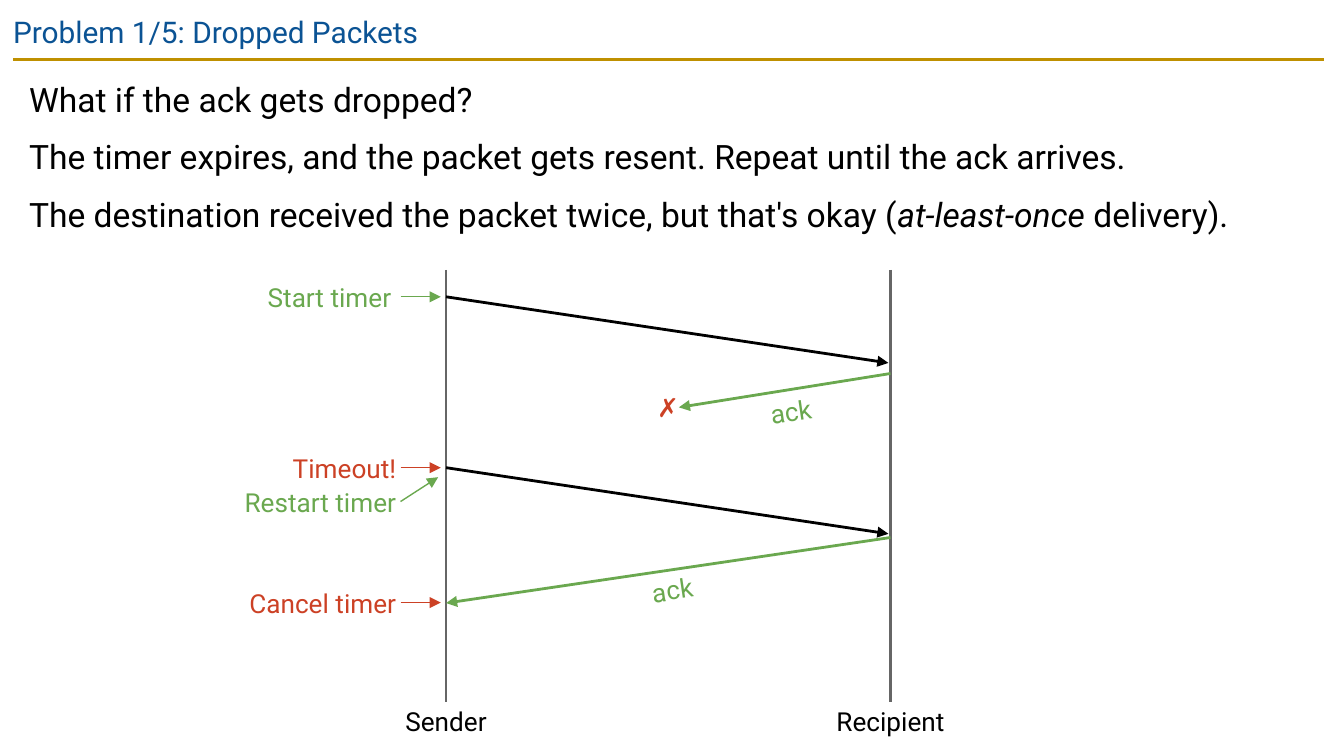
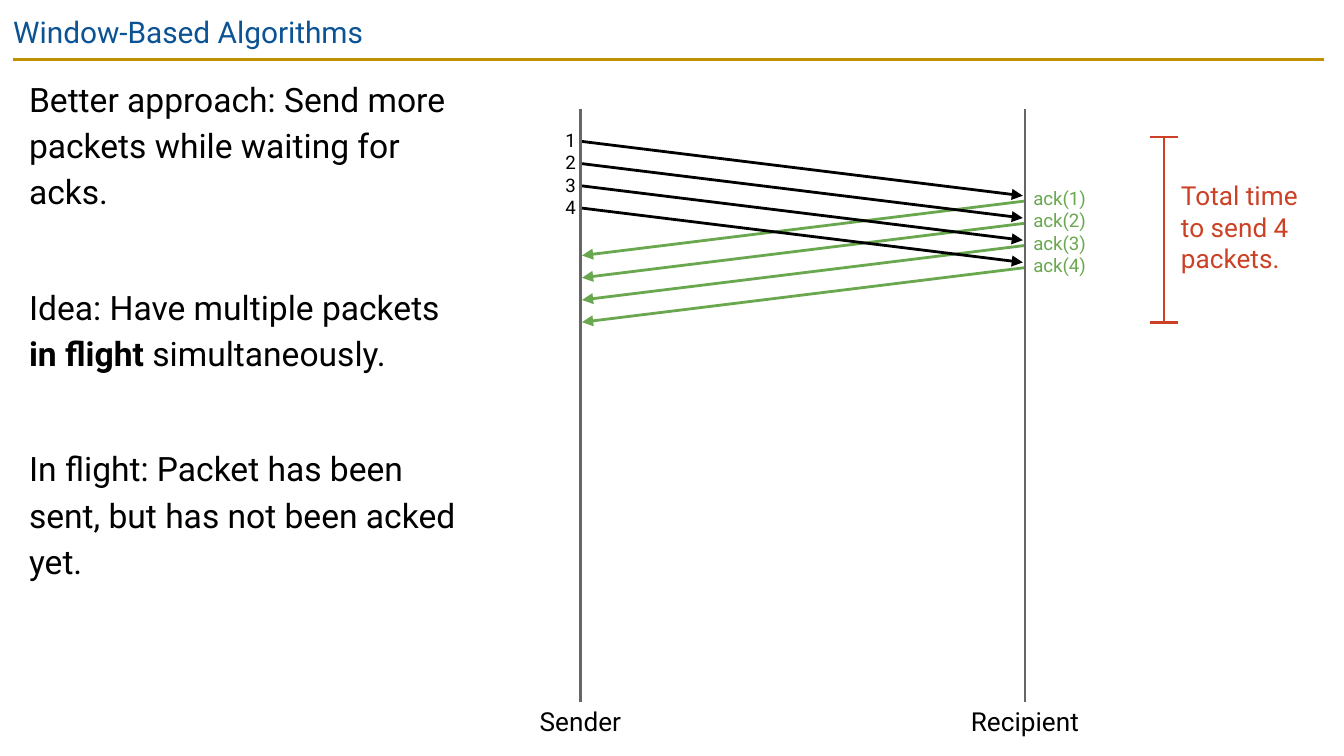
"""Builds two slides on packet acknowledgements and window-based sending."""
from lxml import etree
from pptx import Presentation
from pptx import util as u
from pptx.dml import color as dml
from pptx.enum import shapes, text
from pptx.oxml import ns

COLORS = {
    "title": "0B5394",
    "rule": "BF9000",
    "black": "000000",
    "gray": "666666",
    "green": "6AA84F",
    "red": "CC4125",
}
FONT = "Roboto"
LEFT, CENTER, RIGHT = text.PP_ALIGN.LEFT, text.PP_ALIGN.CENTER, text.PP_ALIGN.RIGHT
WIDE, TIGHT = (0.25, 0.25), (0.08, 0.08)
LIFELINE_GAP = 8.4
LIFELINE_BOTTOM = 13.26


class Deck:
    """Holds the style and the current slide."""

    def __init__(self):
        self.prs = Presentation()
        self.prs.slide_width = u.Cm(25.4)
        self.prs.slide_height = u.Cm(14.29)
        self.slide = None

    def new_slide(self, title):
        self.slide = self.prs.slides.add_slide(self.prs.slide_layouts[6])
        self.line((0.25, 1.12), (25.02, 1.12), "rule")
        self.text((0, 0, 23.67, 1.09), [title], 16, "title")

    def line(self, start, end, color, width=1.5, arrow=False):
        points = [u.Cm(value) for value in (*start, *end)]
        line = self.slide.shapes.add_connector(shapes.MSO_CONNECTOR.STRAIGHT, *points)
        line.line.color.rgb = dml.RGBColor.from_string(COLORS[color])
        line.line.width = u.Pt(width)
        if arrow:
            etree.SubElement(line.line._get_or_add_ln(), ns.qn("a:tailEnd"), type="triangle")
        etree.SubElement(line._element.spPr, ns.qn("a:effectLst"))

    def text(self, box, paragraphs, size=14, color="black", align=LEFT, inset=WIDE,
             rotation=0, spacing=None, before=0):
        """Each paragraph is a string or a list of (string, style) runs."""
        shape = self.slide.shapes.add_textbox(*[u.Cm(value) for value in box])
        shape.rotation = rotation
        frame = shape.text_frame
        frame.word_wrap = True
        frame.margin_left = frame.margin_right = u.Cm(inset[0])
        frame.margin_top = frame.margin_bottom = u.Cm(inset[1])
        for index, content in enumerate(paragraphs):
            paragraph = frame.add_paragraph() if index else frame.paragraphs[0]
            paragraph.alignment = align
            if spacing:
                paragraph.line_spacing = spacing
            if index and before:
                paragraph.space_before = u.Pt(before)
            font = paragraph.font
            font.name, font.size = FONT, u.Pt(size)
            font.color.rgb = dml.RGBColor.from_string(COLORS[color])
            for words, style in [(content, None)] if isinstance(content, str) else content:
                run = paragraph.add_run()
                run.text = words
                if style:
                    setattr(run.font, style, True)

    def body(self, width, height, paragraphs, before):
        self.text((0.3, 1.12, width, height), paragraphs, 18, spacing=1.15, before=before)

    def lifelines(self, sender, top):
        for x, name in ((sender, "Sender"), (sender + LIFELINE_GAP, "Recipient")):
            self.line((x, top), (x, LIFELINE_BOTTOM), "gray")
            self.text((x - 1.65, LIFELINE_BOTTOM, 3.3, 0.77), [name],
                      align=CENTER, inset=(0.25, 0.08))

    def packet(self, sender, y, drop):
        self.line((sender, y), (sender + LIFELINE_GAP - 0.04, y + drop), "black", arrow=True)

    def ack(self, start, end):
        self.line(start, end, "green", arrow=True)

    def ack_label(self, x, y):
        self.text((x - 0.6, y - 0.39, 1.2, 0.78), ["ack"], color="green",
                  align=CENTER, inset=TIGHT, rotation=351.5)

    def timer_event(self, name, color, y, tip, width=3.07, align=RIGHT):
        edge = 7.57
        self.text((edge - width, y - 0.37, width, 0.77), [name], color=color,
                  align=align, inset=TIGHT)
        self.line((edge, y), tip, color, 0.75, arrow=True)


def dropped_packets(deck):
    deck.new_slide("Problem 1/5: Dropped Packets")
    deck.body(24.74, 3.71, [
        "What if the ack gets dropped?",
        "The timer expires, and the packet gets resent. Repeat until the ack arrives.",
        [("The destination received the packet twice, but that's okay (", None),
         ("at-least-once", "italic"), (" delivery).", None)],
    ], before=6)

    sender = 8.43
    recipient = sender + LIFELINE_GAP
    first_send, second_send, cancel = 5.61, 8.84, 11.39
    deck.lifelines(sender, 5.1)
    for y in (first_send, second_send):
        deck.packet(sender, y, 1.25)
    deck.ack((recipient, 7.06), (12.83, 7.7))
    deck.ack_label(14.95, 7.79)
    deck.text((12.34, 7.32, 0.56, 0.76), [[("✗", "bold")]], color="red",
              align=RIGHT, inset=TIGHT)
    deck.ack((recipient, 10.16), (sender, 11.4))
    deck.ack_label(12.71, 11.16)

    tip = sender - 0.1
    deck.timer_event("Start timer", "green", first_send, (tip, first_send), 2.59, LEFT)
    deck.timer_event("Timeout!", "red", second_send, (tip, second_send))
    deck.timer_event("Restart timer", "green", 9.48, (8.28, 9.02))
    deck.timer_event("Cancel timer", "red", cancel, (tip, cancel))


def window_based(deck):
    deck.new_slide("Window-Based Algorithms")
    deck.body(8.64, 12.37, [
        "Better approach: Send more packets while waiting for acks.",
        [("Idea: Have multiple packets ", None), ("in flight", "bold"),
         (" simultaneously.", None)],
        "In flight: Packet has been sent, but has not been acked yet.",
    ], before=37)

    sender = 10.97
    recipient = sender + LIFELINE_GAP
    numbers = range(1, 5)
    step, drop = 0.42, 1.03
    for index in range(len(numbers)):
        sent, acked = 2.67 + index * step, 3.8 + index * step
        deck.ack((recipient, acked), (sender + 0.03, acked + drop))
        deck.packet(sender, sent, drop)
    deck.text((10.39, 2.18, 0.74, 2.24), [str(n) for n in numbers], 10, align=RIGHT)
    deck.text((19.28, 3.28, 1.85, 2.24), [f"ack({n})" for n in numbers], 10, "green")
    deck.lifelines(sender, 2.06)

    span, top, bottom = 22, 2.59, 6.1
    deck.line((span, top), (span, bottom), "red")
    for y in (top, bottom):
        deck.line((span - 0.27, y), (span + 0.27, y), "red")
    deck.text((22.07, 3.15, 2.77, 2.31), ["Total time to send 4 packets."], color="red")


def main():
    deck = Deck()
    dropped_packets(deck)
    window_based(deck)
    deck.prs.save("out.pptx")


if __name__ == "__main__":
    main()
